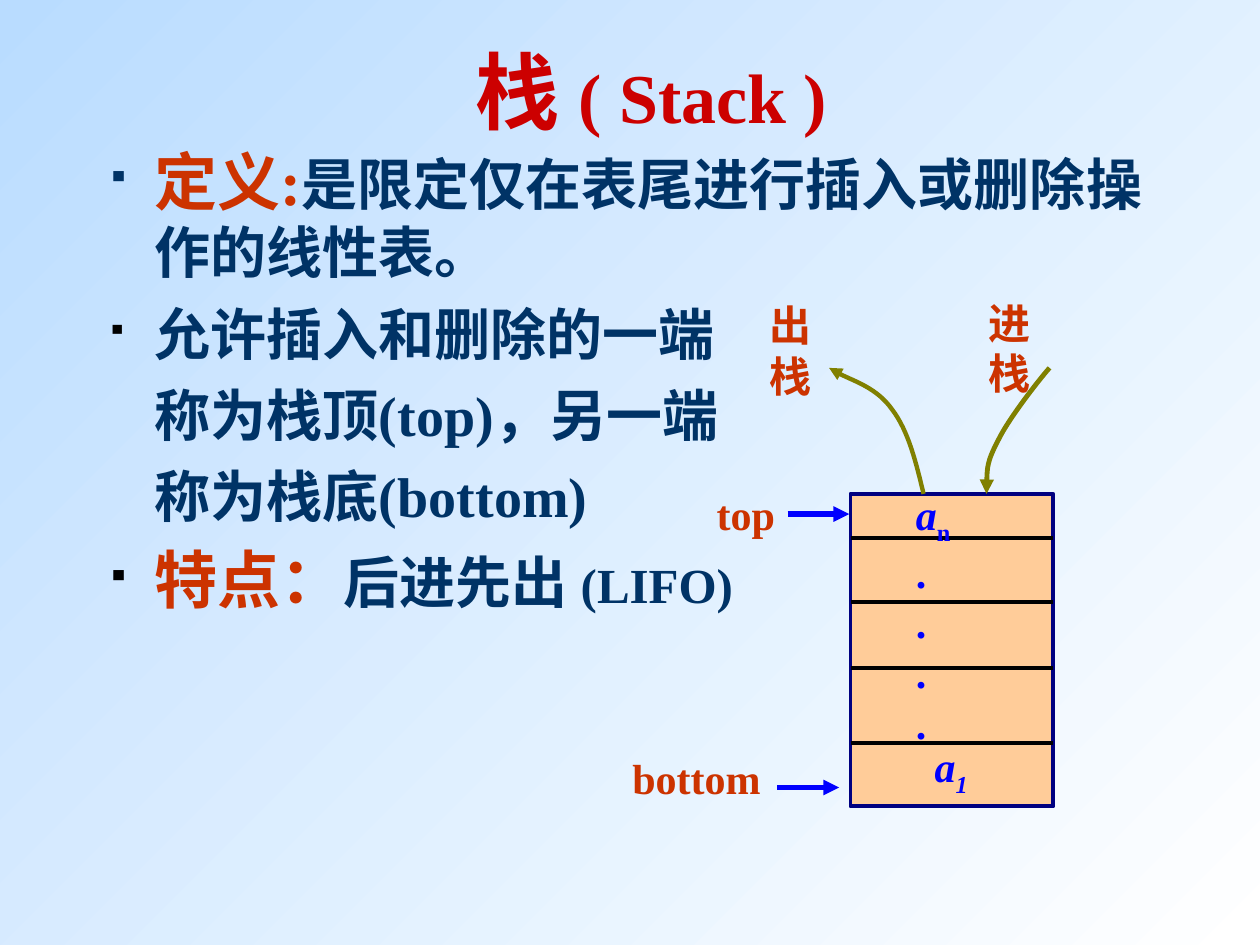
"""Build a slide that defines the stack and draws its push and pop."""
from lxml import etree
from pptx import Presentation
from pptx.dml.color import RGBColor
from pptx.enum.shapes import MSO_CONNECTOR, MSO_SHAPE
from pptx.enum.text import MSO_ANCHOR, MSO_AUTO_SIZE, PP_ALIGN
from pptx.oxml.ns import qn
from pptx.util import Inches, Pt

LINE, RECT = MSO_CONNECTOR.STRAIGHT, MSO_SHAPE.RECTANGLE
MIDDLE, CENTER = MSO_ANCHOR.MIDDLE, PP_ALIGN.CENTER
GROW, FIXED = MSO_AUTO_SIZE.SHAPE_TO_FIT_TEXT, MSO_AUTO_SIZE.NONE
FONT = "Times New Roman"
COLORS = {
    "white": "FFFFFF", "sky": "B9DCFF", "title": "CC0000", "red": "CC3300",
    "navy": "003366", "black": "000000", "blue": "0000FF",
    "cell": "FFCC99", "edge": "000080", "olive": "808000",
}

TITLE = [("栈 ", 48, "title"), ("( Stack )", 40, "title")]
BODY = [
    ("navy", 0, [("定义:", 36, "red"),
                 ("是限定仅在表尾进行插入或删除操作的线性表。", 32, "navy")]),
    ("black", 8, [("允许插入和删除的一端", 32, "navy")]),
    (None, 8, [("称为栈顶(top)，另一端", 32, "navy")]),
    (None, 8, [("称为栈底(bottom)", 32, "navy")]),
    ("black", 7, [("特点：", 36, "red"), ("后进先出 ", 32, "navy"),
                  ("(LIFO)", 28, "navy")]),
]
LABELS = [
    ("top", (5.59, 3.83, 0.66, 0.5)),
    ("bottom", (4.92, 5.92, 1.22, 0.5)),
    ("进栈", (7.75, 2.31, 0.86, 0.5)),
    ("出栈", (6.01, 2.33, 0.86, 0.5)),
]
STACK = (6.75, 3.92, 1.61, 2.48)
ROWS = [5.9, 4.27, 4.78, 5.3]
POINTERS = [(6.25, 4.08), (6.17, 6.25)]
REACH = 0.49
CURVES = [
    ("tailEnd", 2.5, [(7.33, 3.92), (7.27, 3.67), (7.21, 3.42), (7.08, 3.25),
                      (6.96, 3.08), (6.68, 2.99), (6.58, 2.92)]),
    ("headEnd", 2.75, [(7.83, 3.92), (7.83, 3.79), (7.83, 3.67), (7.92, 3.5),
                       (8, 3.33), (8.25, 3.01), (8.33, 2.92)]),
]
FIRST = [("a", 24, "blue", True, 0), ("1", 24, "blue", True, -25)]
LAST = [("a", 24, "blue", True, 0), ("n", 24, "blue", False, -25)]
DOTS = 4


def rgb(name):
    return RGBColor.from_string(COLORS[name])


def add(parent, tag, **attrs):
    return etree.SubElement(parent, qn(tag), attrs)


def write(para, runs):
    for text, size, color, *style in runs:
        slant, base = style or (False, 0)
        run = para.add_run()
        run.text = text
        font = run.font
        font.name, font.size, font.bold = FONT, Pt(size), True
        font.italic = slant
        font.color.rgb = rgb(color)
        if base:
            font._element.set("baseline", str(base * 1000))


def box(slide, place, wrap=True, size=FIXED):
    frame = slide.shapes.add_textbox(*map(Inches, place)).text_frame
    frame.word_wrap, frame.auto_size = wrap, size
    return frame


def fill_box(frame, paras):
    for num, runs in enumerate(paras):
        para = frame.add_paragraph() if num else frame.paragraphs[0]
        write(para, runs)


def bullet(para, color):
    props = para._p.get_or_add_pPr()
    props.set("marL", str(Inches(0.38)))
    props.set("indent", str(Inches(-0.38 if color else 0)))
    if color:
        add(add(props, "a:buClr"), "a:srgbClr", val=COLORS[color])
        add(props, "a:buSzPct", val="50000")
        add(props, "a:buChar", char="▪")
    else:
        add(props, "a:buNone")


def stroke(shape, color, width, end=None):
    shape.line.color.rgb = rgb(color)
    shape.line.width = Pt(width)
    if end:
        add(shape.line._ln, "a:" + end, type="triangle")


def line(slide, start, stop, color, width, end=None):
    link = slide.shapes.add_connector(LINE, *map(Inches, start + stop))
    stroke(link, color, width, end)
    add(link._element.spPr, "a:effectLst")


def curve(slide, points, width, end):
    spots = [(Inches(x), Inches(y)) for x, y in points]
    pen = slide.shapes.build_freeform(*spots[0])
    pen.add_line_segments(spots[1:], close=False)
    shape = pen.convert_to_shape()
    shape.shadow.inherit = False
    shape.fill.background()
    stroke(shape, "olive", width, end)
    route = shape._element.find(".//" + qn("a:path"))
    steps = route.findall(qn("a:lnTo"))
    for at in range(0, len(steps), 3):
        bend = add(route, "a:cubicBezTo")
        for step in steps[at:at + 3]:
            bend.append(step[0])
            route.remove(step)


def main():
    deck = Presentation()
    deck.slide_width, deck.slide_height = Inches(10), Inches(7.5)
    slide = deck.slides.add_slide(deck.slide_layouts[6])
    back = slide.background.fill
    back.gradient()
    back.gradient_angle = 135
    for stop, name in zip(back.gradient_stops, ("white", "sky")):
        stop.color.rgb = rgb(name)

    head = box(slide, (0.92, 0.25, 8.5, 0.92))
    head.vertical_anchor = MIDDLE
    fill_box(head, [TITLE])
    head.paragraphs[0].alignment = CENTER

    body = box(slide, (0.75, 1.08, 8.5, 5.58))
    fill_box(body, [runs for _, _, runs in BODY])
    for para, (color, gap, _) in zip(body.paragraphs, BODY):
        bullet(para, color)
        para.space_before = Pt(gap)

    stack = slide.shapes.add_shape(RECT, *map(Inches, STACK))
    stack.shadow.inherit = False
    stack.fill.solid()
    stack.fill.fore_color.rgb = rgb("cell")
    stroke(stack, "edge", 2.25)
    fill_box(box(slide, (7.32, 5.83, 0.46, 0.56), False, GROW), [FIRST])

    left, _, width, _ = STACK
    for y in ROWS:
        line(slide, (left, y), (left + width, y), "black", 2.25)
    for x, y in POINTERS:
        line(slide, (x, y), (x + REACH, y), "blue", 3, "tailEnd")
    for end, weight, points in CURVES:
        curve(slide, points, weight, end)

    dots = [[(".", 24, "blue")]] * DOTS
    fill_box(box(slide, (7.17, 3.83, 0.83, 2.56), True, GROW), [LAST] + dots)
    for text, place in LABELS:
        fill_box(box(slide, place, False, GROW), [[(text, 24, "red")]])
    deck.save("out.pptx")


if __name__ == "__main__":
    main()
